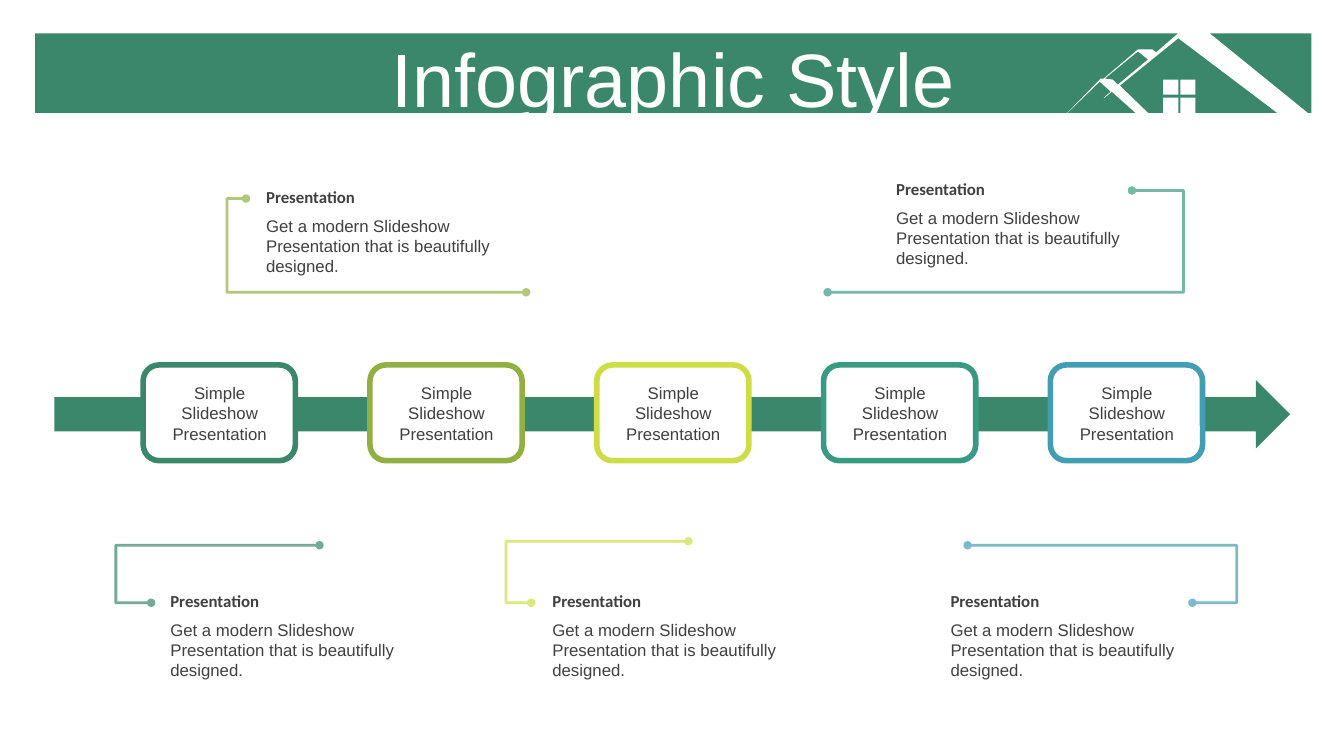
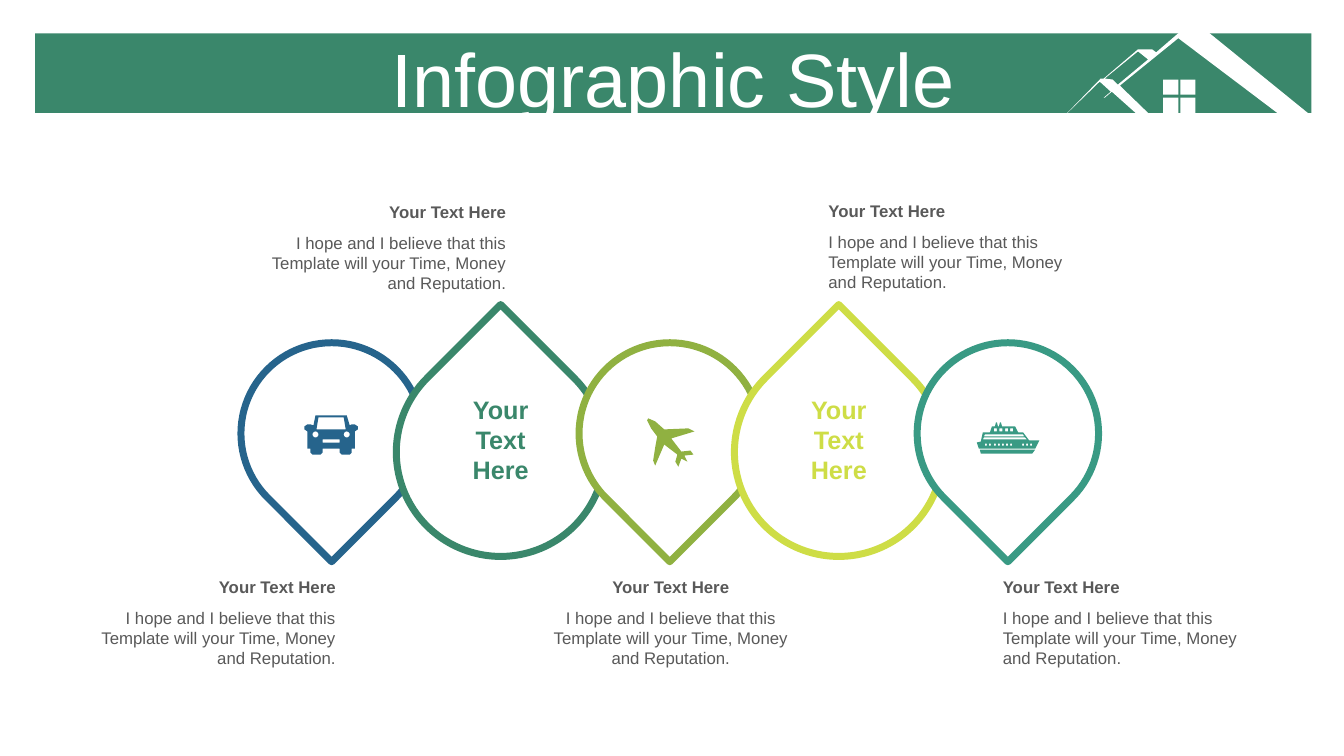
import math
from dataclasses import dataclass

from lxml import etree
from pptx import Presentation
from pptx.dml.color import RGBColor
from pptx.enum.shapes import MSO_CONNECTOR, MSO_SHAPE
from pptx.enum.text import MSO_ANCHOR, PP_ALIGN
from pptx.oxml.ns import qn
from pptx.util import Inches, Pt

RECTANGLE, ROUNDED = MSO_SHAPE.RECTANGLE, MSO_SHAPE.ROUNDED_RECTANGLE
ARROW, TEARDROP = MSO_SHAPE.RIGHT_ARROW, MSO_SHAPE.TEAR
ELBOW = MSO_CONNECTOR.ELBOW
LEFT, CENTER, RIGHT = PP_ALIGN.LEFT, PP_ALIGN.CENTER, PP_ALIGN.RIGHT
TOP, MIDDLE = MSO_ANCHOR.TOP, MSO_ANCHOR.MIDDLE
BLANK_LAYOUT = 6

# The grid: square cells of a tenth of an inch, counted as columns and rows.
COLUMNS, ROWS = 133.33, 75

Point = tuple[float, float]
Contour = list[Point]


@dataclass(frozen=True)
class Theme:
    green: str = "3A876B"
    olive: str = "90B141"
    lime: str = "CEDD46"
    teal: str = "399A84"
    sky: str = "429EB3"
    navy: str = "26648C"
    white: str = "FFFFFF"
    dark_text: str = "404040"
    grey_text: str = "595959"
    font: str = "Arial"
    heading_font: str = "Calibri"
    title_size: int = 54
    label_size: int = 18
    body_size: int = 12


THEME = Theme()


@dataclass(frozen=True)
class Area:
    column: float
    row: float
    columns: float
    rows: float

    def lengths(self) -> list[int]:
        return [cells(n) for n in (self.column, self.row, self.columns, self.rows)]


@dataclass(frozen=True)
class Callout:
    column: float
    row: float
    columns: float
    align: PP_ALIGN = LEFT


@dataclass(frozen=True)
class Bracket:
    """A three-part line that turns at the column 'elbow'."""
    start: Point
    end: Point
    elbow: float
    color: str


@dataclass(frozen=True)
class Icon:
    color: str
    contours: list[Contour]


def cells(count: float) -> int:
    return Inches(count / 10)


def box(left: float, top: float, right: float, bottom: float) -> Contour:
    return [(left, top), (right, top), (right, bottom), (left, bottom)]


def disc(x: float, y: float, radius: float, sides: int = 16) -> Contour:
    turns = [math.tau * side / sides for side in range(sides)]
    return [(x + radius * math.cos(turn), y + radius * math.sin(turn)) for turn in turns]


HOUSE = Icon(THEME.white, [
    *[box(x, y, x + 1.5, y + 1.5) for x in (115.4, 117.1) for y in (7.9, 9.7)],
    [(112.9, 5.1), (109.6, 7.8), (110.4, 7.9), (110.9, 8.4), (113.9, 5.9)],
    [(116.9, 3.3), (120, 3.3), (130.1, 11.5), (127.1, 11.5), (116.9, 3.8),
     (111.1, 8.5), (114.3, 11.6), (113.1, 11.6), (110.3, 9.1), (109.6, 9.7),
     (109.5, 9.7), (110.2, 9.1), (109.1, 8.1), (105.5, 11.6), (109.2, 7.8),
     (109.5, 7.8), (112.9, 4.9), (114.3, 4.9), (114.7, 5.2)],
])
CAR = Icon(THEME.navy, [
    box(32, 43.6, 33.7, 43.9),
    disc(34.4, 43.1, 0.3),
    disc(31.3, 43.1, 0.3),
    [(31.6, 41.4), (31.4, 42.6), (34.3, 42.6), (34.1, 41.4)],
    [(31.3, 41.2), (34.4, 41.2), (34.7, 42.2), (34.9, 42.1), (35.2, 42.1),
     (35.5, 42.3), (35.5, 42.6), (35.2, 42.8), (35.2, 44.5), (34.9, 44.5),
     (34.9, 44.9), (34.7, 45.1), (33.9, 45.1), (33.7, 44.9), (33.7, 44.5),
     (32, 44.5), (32, 44.9), (31.8, 45.1), (31, 45.1), (30.8, 44.9),
     (30.8, 44.5), (30.5, 44.5), (30.5, 42.8), (30.2, 42.6), (30.2, 42.3),
     (30.5, 42.1), (30.8, 42.1), (31.1, 42.2)],
])
PORTHOLES = (97.7, 98.1, 98.6, 99, 99.4, 99.8, 100.2, 101.4, 101.8, 102.2)
CABIN_WINDOWS = (98.6, 99.15, 99.7, 100.2)
SHIP = Icon(THEME.teal, [
    [(97.2, 44.6), (102.7, 44.6), (102.4, 45), (97.3, 45)],
    *[box(x, 44, x + 0.2, 44.2) for x in PORTHOLES],
    *[box(x, 42.5, x + 0.3, 42.8) for x in CABIN_WINDOWS],
    [(97.6, 43.4), (97.5, 43.6), (101.9, 43.6), (101.7, 43.4)],
    [(97.7, 43.1), (97.6, 43.3), (101.6, 43.3), (101.5, 43.1)],
    [(99.2, 41.9), (99.3, 41.9), (99.4, 42.3), (100.7, 42.3), (101, 42.9),
     (101.5, 42.9), (102.1, 43.7), (103.1, 43.7), (102.7, 44.5), (97.1, 44.5),
     (96.9, 43.9), (97.3, 43.8), (97.5, 42.9), (98.2, 42.9), (98.4, 42.3),
     (98.7, 42.3), (98.8, 41.9), (98.9, 41.9), (99, 42.3), (99.1, 42.3)],
])
PLANE = Icon(THEME.olive, [
    [(68.8, 45.1), (67.9, 45.2), (68.2, 45.8), (67.6, 45.5), (67.3, 46.3),
     (67, 45.8), (67.2, 45.1), (65.9, 44.1), (65, 46.2), (64.8, 45.7),
     (65, 44.4), (65.2, 43.3), (64.6, 42.5), (64.2, 41.7), (64.3, 41.5),
     (65, 41.8), (65.9, 42.6), (68.3, 42.5), (68.9, 42.8), (66.6, 43.5),
     (67.6, 44.8), (68.5, 44.7)],
])

STEP_COLORS = (THEME.green, THEME.olive, THEME.lime, THEME.teal, THEME.sky)
STEP_TEXT = "Simple Slideshow Presentation"
PROCESS_TEXT = ("Presentation",
                "Get a modern Slideshow Presentation that is beautifully designed.")
PROCESS_CALLOUTS = [
    Callout(column, row, 22.4)
    for column, row in ((16.9, 58.1), (54.8, 58.1), (94.3, 58.1), (26.4, 18), (88.9, 17.2))
]
BRACKETS = [
    Bracket((15, 59.8), (31.7, 54.1), 11.5, THEME.green),
    Bracket((52.7, 59.8), (68.3, 53.7), 50.2, THEME.lime),
    Bracket((96, 54.1), (118.3, 59.8), 122.7, THEME.sky),
    Bracket((24.4, 19.7), (52.2, 29), 22.5, THEME.olive),
    Bracket((82.1, 29), (112.3, 18.9), 117.4, THEME.teal),
]

DROP_COLORS = (THEME.navy, THEME.green, THEME.olive, THEME.lime, THEME.teal)
DROP_LABEL = "Your\nText\nHere"
DROP_TEXT = ("Your Text Here",
             "I hope and I believe that this Template will your Time, Money and Reputation.")
DROP_CALLOUTS = [
    Callout(98.5, 56.7, 26.9),
    Callout(52.4, 56.7, 28.3, CENTER),
    Callout(81.2, 19.4, 27.4),
    Callout(23.8, 19.5, 27.4, RIGHT),
    Callout(6, 56.7, 28.3, RIGHT),
]


def add_text(slide, area: Area, text: str, *, size: int = THEME.body_size,
             color: str = THEME.dark_text, font: str = THEME.font, bold: bool = False,
             align: PP_ALIGN = LEFT, anchor: MSO_ANCHOR = TOP, side_inset: float = 1,
             line_spacing: float = 1.0) -> None:
    frame = slide.shapes.add_textbox(*area.lengths()).text_frame
    frame.word_wrap = True
    frame.vertical_anchor = anchor
    frame.margin_left = frame.margin_right = cells(side_inset)
    frame.text = text
    for paragraph in frame.paragraphs:
        paragraph.alignment = align
        paragraph.line_spacing = line_spacing
        paragraph.font.size = Pt(size)
        paragraph.font.name = font
        paragraph.font.bold = bold
        paragraph.font.color.rgb = RGBColor.from_string(color)


def paint(shape, fill: str, line: str | None = None, width: float = 0) -> None:
    shape.shadow.inherit = False
    shape.fill.solid()
    shape.fill.fore_color.rgb = RGBColor.from_string(fill)
    if line is None:
        shape.line.fill.background()
    else:
        shape.line.color.rgb = RGBColor.from_string(line)
        shape.line.width = Pt(width)


def add_preset(slide, preset: MSO_SHAPE, area: Area, fill: str, line: str | None = None,
               width: float = 0, rotation: float = 0) -> None:
    shape = slide.shapes.add_shape(preset, *area.lengths())
    shape.rotation = rotation
    paint(shape, fill, line, width)


def add_icon(slide, icon: Icon) -> None:
    outlines = [[(cells(x), cells(y)) for x, y in contour] for contour in icon.contours]
    builder = slide.shapes.build_freeform(*outlines[0][0])
    for index, outline in enumerate(outlines):
        if index:
            builder.move_to(*outline[0])
        builder.add_line_segments(outline[1:], close=True)
    paint(builder.convert_to_shape(), icon.color)


def add_bracket(slide, bracket: Bracket) -> None:
    (start_x, start_y), (end_x, end_y) = bracket.start, bracket.end
    connector = slide.shapes.add_connector(
        ELBOW, cells(start_x), cells(start_y), cells(end_x), cells(end_y))
    connector.line.color.rgb = RGBColor.from_string(bracket.color)
    connector.line.width = Pt(2)
    properties = connector._element.spPr
    bend = round((bracket.elbow - start_x) / (end_x - start_x) * 100000)
    adjustments = properties.find(qn("a:prstGeom")).find(qn("a:avLst"))
    etree.SubElement(adjustments, qn("a:gd"), name="adj1", fmla=f"val {bend}")
    line = properties.find(qn("a:ln"))
    etree.SubElement(next(line.iter(qn("a:srgbClr"))), qn("a:alpha"), val="70000")
    for line_end in ("a:headEnd", "a:tailEnd"):
        etree.SubElement(line, qn(line_end), type="oval")
    etree.SubElement(properties, qn("a:effectLst"))


def add_callouts(slide, callouts: list[Callout], text: tuple[str, str], *, body_drop: float,
                 color: str, heading_font: str, side_inset: float) -> None:
    heading, body = text
    for callout in callouts:
        heading_area = Area(callout.column, callout.row, callout.columns, 3)
        body_area = Area(callout.column, callout.row + body_drop, callout.columns, 7.1)
        add_text(slide, heading_area, heading, bold=True, font=heading_font, color=color,
                 align=callout.align, side_inset=side_inset)
        add_text(slide, body_area, body, color=color, align=callout.align,
                 side_inset=side_inset)


def add_titled_slide(presentation, title: str):
    slide = presentation.slides.add_slide(presentation.slide_layouts[BLANK_LAYOUT])
    add_preset(slide, RECTANGLE, Area(3.5, 3.3, 126.6, 7.9), THEME.green)
    add_icon(slide, HOUSE)
    add_text(slide, Area(3.5, 4.3, 126.6, 7.9), title, size=THEME.title_size,
             color=THEME.white, align=CENTER, anchor=MIDDLE, line_spacing=0.9)
    return slide


def build_process_slide(presentation) -> None:
    slide = add_titled_slide(presentation, "Infographic Style")
    add_preset(slide, ARROW, Area(5.4, 37.7, 122.6, 6.8), THEME.green)
    for bracket in BRACKETS:
        add_bracket(slide, bracket)
    add_callouts(slide, PROCESS_CALLOUTS, PROCESS_TEXT, body_drop=2.9,
                 color=THEME.dark_text, heading_font=THEME.heading_font, side_inset=0)
    for index, color in enumerate(STEP_COLORS):
        column = 14.2 + 22.5 * index
        add_preset(slide, ROUNDED, Area(column, 36.2, 15.1, 9.5), THEME.white, color, 4)
        add_text(slide, Area(column + 0.6, 37.5, 14, 7.1), STEP_TEXT, align=CENTER)


def build_drops_slide(presentation) -> None:
    """Chain of teardrops: small ones point down, large ones point up."""
    slide = add_titled_slide(presentation, "Infographic Style")
    for index, color in enumerate(DROP_COLORS):
        points_up = index % 2 == 1
        size, middle, rotation = (20.7, 44.85, 315) if points_up else (18, 43, 135)
        center = 32.9 + 16.77 * index
        area = Area(center - size / 2, middle - size / 2, size, size)
        add_preset(slide, TEARDROP, area, THEME.white, color, 5, rotation)
        if points_up:
            add_text(slide, Area(center - 4.75, 38.6, 9.5, 10.1), DROP_LABEL, bold=True,
                     size=THEME.label_size, color=color, align=CENTER)
    add_callouts(slide, DROP_CALLOUTS, DROP_TEXT, body_drop=3.1,
                 color=THEME.grey_text, heading_font=THEME.font, side_inset=1)
    for icon in (CAR, PLANE, SHIP):
        add_icon(slide, icon)


def main() -> None:
    presentation = Presentation()
    presentation.slide_width, presentation.slide_height = cells(COLUMNS), cells(ROWS)
    build_process_slide(presentation)
    build_drops_slide(presentation)
    presentation.save("out.pptx")


if __name__ == "__main__":
    main()
